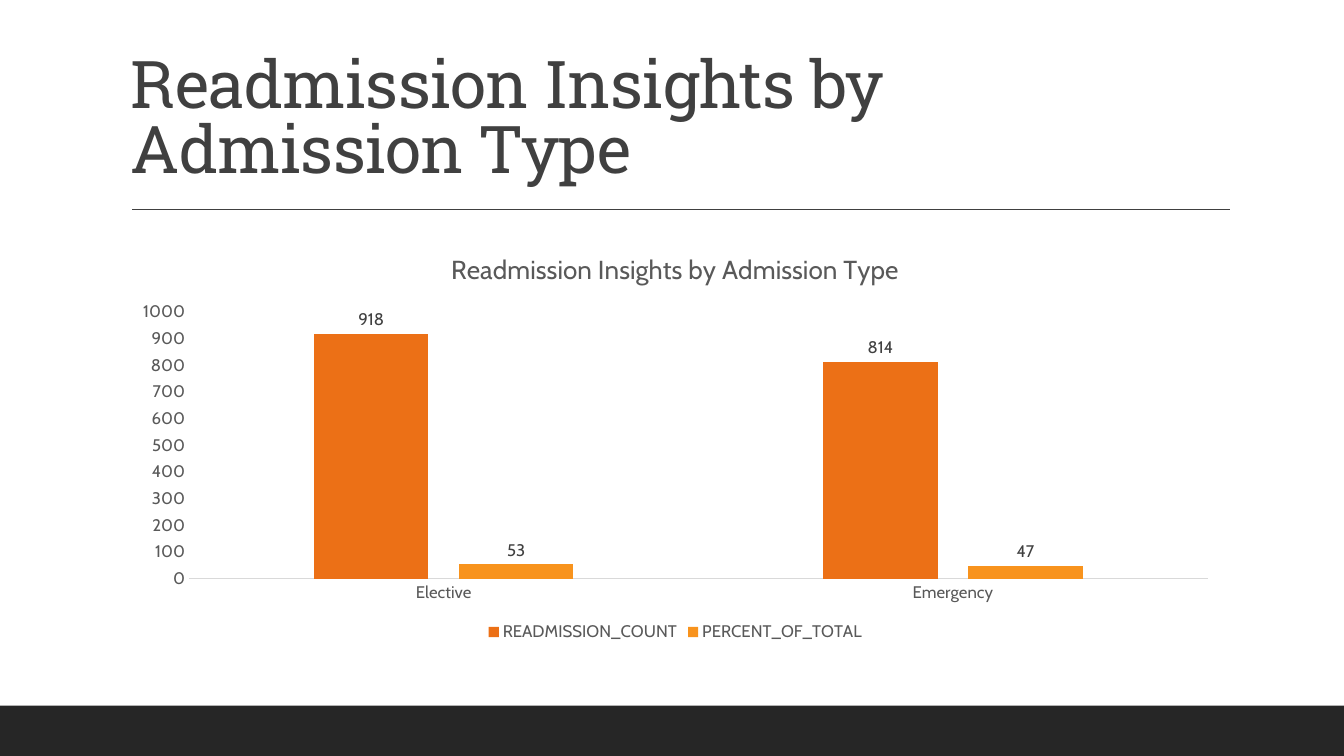
"""Build the slide on readmissions by admission type."""
from dataclasses import dataclass

from lxml import etree
from pptx import Presentation
from pptx.chart.chart import Chart
from pptx.chart.data import CategoryChartData
from pptx.dml.color import RGBColor
from pptx.enum.chart import XL_CHART_TYPE, XL_LABEL_POSITION, XL_LEGEND_POSITION, XL_TICK_MARK
from pptx.enum.shapes import MSO_CONNECTOR, MSO_SHAPE
from pptx.enum.text import MSO_ANCHOR
from pptx.oxml.ns import qn
from pptx.slide import Slide
from pptx.text.text import Font
from pptx.util import Cm, Pt

CLUSTERED = XL_CHART_TYPE.COLUMN_CLUSTERED
OUTSIDE_END = XL_LABEL_POSITION.OUTSIDE_END
LEGEND_BOTTOM = XL_LEGEND_POSITION.BOTTOM
NO_TICK = XL_TICK_MARK.NONE
STRAIGHT = MSO_CONNECTOR.STRAIGHT
RECTANGLE = MSO_SHAPE.RECTANGLE
ANCHOR_BOTTOM = MSO_ANCHOR.BOTTOM

INK = RGBColor(0x40, 0x40, 0x40)
GREY = RGBColor(0x59, 0x59, 0x59)
AXIS_GREY = RGBColor(0xD9, 0xD9, 0xD9)
FOOTER_BLACK = RGBColor(0x26, 0x26, 0x26)
DARK_ORANGE = RGBColor(0xEC, 0x70, 0x16)
LIGHT_ORANGE = RGBColor(0xF8, 0x93, 0x1D)

HEADING_FONT = "Roboto Slab"
BODY_FONT = "Cabin"
HEADING = "Readmission Insights by Admission Type"
ADMISSION_TYPES = ("Elective", "Emergency")


@dataclass(frozen=True)
class Measure:
    name: str
    values: tuple[int, ...]
    color: RGBColor


@dataclass(frozen=True)
class Box:
    left: float
    top: float
    width: float
    height: float

    def lengths(self) -> tuple[Cm, Cm, Cm, Cm]:
        return Cm(self.left), Cm(self.top), Cm(self.width), Cm(self.height)


MEASURES = (
    Measure("READMISSION_COUNT", (918, 814), DARK_ORANGE),
    Measure("PERCENT_OF_TOTAL", (53, 47), LIGHT_ORANGE),
)
FOOTER_BOX = Box(0, 17.78, 33.87, 1.27)
HEADING_BOX = Box(3.05, 0.79, 27.94, 4.04)
CHART_BOX = Box(3.05, 5.87, 27.94, 10.41)


def style_font(font: Font, size: float, color: RGBColor, name: str = BODY_FONT) -> None:
    font.name = name
    font.size = Pt(size)
    font.bold = False
    font.color.rgb = color


def add_text(slide: Slide, box: Box, text: str, *, size: float, color: RGBColor,
             name: str, line_spacing: float, tracking: float) -> None:
    frame = slide.shapes.add_textbox(*box.lengths()).text_frame
    frame.word_wrap = True
    frame.vertical_anchor = ANCHOR_BOTTOM
    paragraph = frame.paragraphs[0]
    paragraph.line_spacing = line_spacing
    run = paragraph.add_run()
    run.text = text
    style_font(run.font, size, color, name)
    run.font._element.set("spc", str(round(tracking * 100)))


def add_footer(slide: Slide) -> None:
    footer = slide.shapes.add_shape(RECTANGLE, *FOOTER_BOX.lengths())
    footer.shadow.inherit = False
    footer.fill.solid()
    footer.fill.fore_color.rgb = FOOTER_BLACK
    footer.line.fill.background()


def add_rule(slide: Slide) -> None:
    rule = slide.shapes.add_connector(STRAIGHT, Cm(3.33), Cm(5.28), Cm(31), Cm(5.28))
    rule.line.color.rgb = INK
    rule.line.width = Pt(1)
    etree.SubElement(rule._element.spPr, qn("a:effectLst"))


def style_axes(chart: Chart) -> None:
    for axis in (chart.category_axis, chart.value_axis):
        axis.has_major_gridlines = False
        axis.major_tick_mark = NO_TICK
        axis.minor_tick_mark = NO_TICK
        style_font(axis.tick_labels.font, 12, GREY)
    chart.category_axis.format.line.color.rgb = AXIS_GREY
    chart.category_axis.format.line.width = Pt(0.75)
    counts = chart.value_axis
    counts.format.line.fill.background()
    counts.minimum_scale, counts.maximum_scale, counts.major_unit = 0, 1000, 100


def add_readmission_chart(slide: Slide) -> None:
    data = CategoryChartData()
    data.categories = ADMISSION_TYPES
    for measure in MEASURES:
        data.add_series(measure.name, measure.values)
    chart = slide.shapes.add_chart(CLUSTERED, *CHART_BOX.lengths(), data).chart
    style_font(chart.font, 12, GREY)

    chart.has_title = True
    title = chart.chart_title.text_frame
    title.text = HEADING
    style_font(title.paragraphs[0].runs[0].font, 18.6, GREY)

    chart.has_legend = True
    chart.legend.position = LEGEND_BOTTOM
    chart.legend.include_in_layout = False
    style_font(chart.legend.font, 12, GREY)

    style_axes(chart)
    plot = chart.plots[0]
    plot.gap_width = 219
    plot.overlap = -27
    plot.vary_by_categories = False
    for measure, series in zip(MEASURES, plot.series):
        series.format.fill.solid()
        series.format.fill.fore_color.rgb = measure.color
        series.invert_if_negative = False
        labels = series.data_labels
        labels.show_value = True
        labels.position = OUTSIDE_END
        style_font(labels.font, 12, INK)


def main() -> None:
    presentation = Presentation()
    presentation.slide_width = Cm(33.87)
    presentation.slide_height = Cm(19.05)
    slide = presentation.slides.add_slide(presentation.slide_layouts[6])
    add_footer(slide)
    add_rule(slide)
    add_text(slide, HEADING_BOX, HEADING, size=47, color=INK, name=HEADING_FONT,
             line_spacing=0.82, tracking=-0.5)
    add_readmission_chart(slide)
    presentation.save("out.pptx")


if __name__ == "__main__":
    main()
